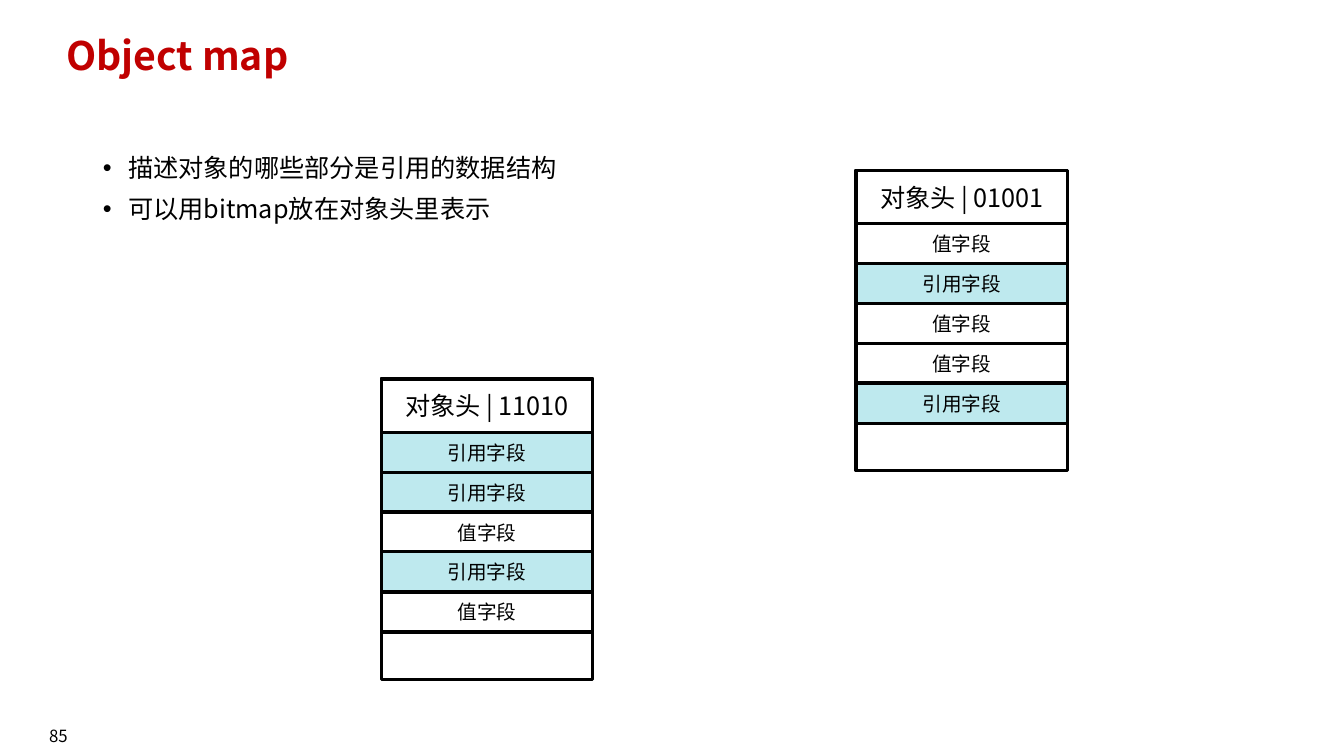
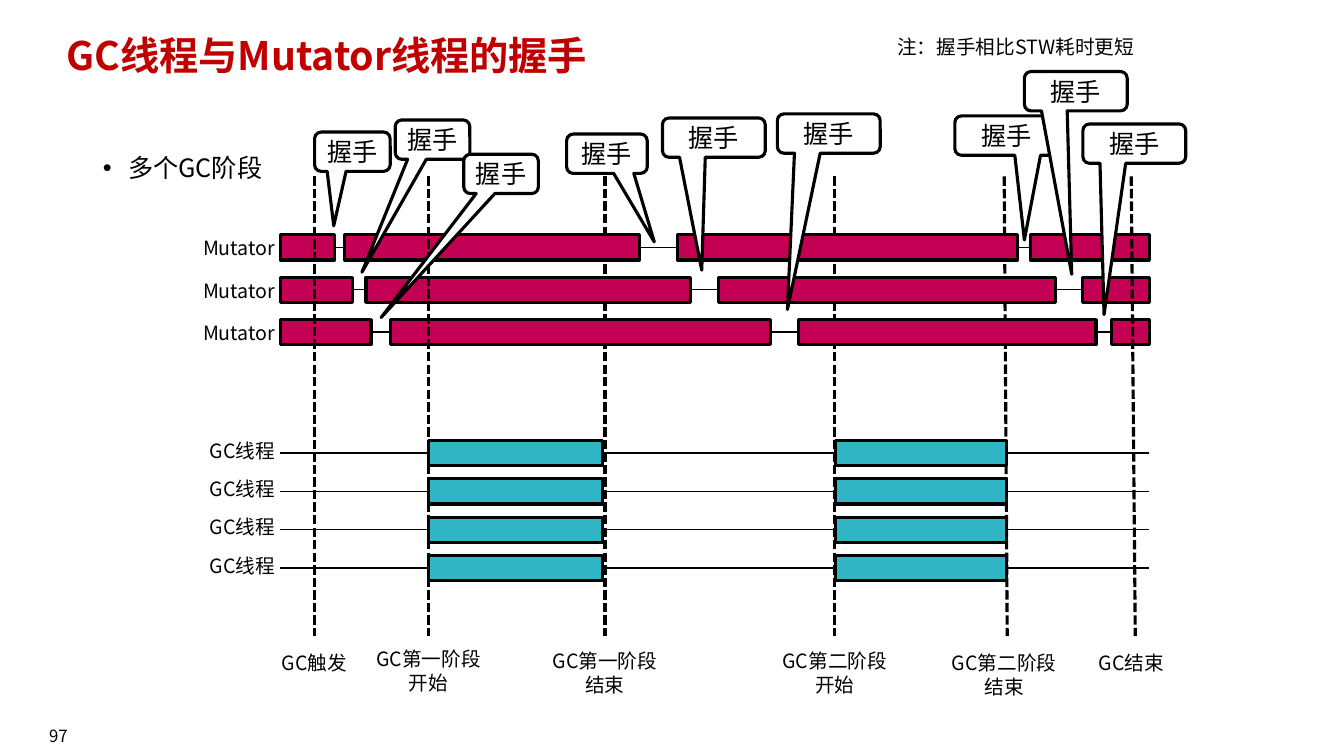
import pptx
import pptx.util
import pptx.dml.color
import pptx.enum.dml
import pptx.enum.shapes
import pptx.enum.text
import pptx.oxml
import pptx.oxml.ns
from dataclasses import dataclass
from lxml import etree

Inches, Pt = pptx.util.Inches, pptx.util.Pt
SHAPE = pptx.enum.shapes.MSO_SHAPE
ALIGN = pptx.enum.text.PP_ALIGN
ANCHOR = pptx.enum.text.MSO_ANCHOR
qn = pptx.oxml.ns.qn


@dataclass(frozen=True)
class Theme:
    face: str = "Noto Sans CJK SC"
    ink: str = "000000"
    red: str = "C00000"
    white: str = "FFFFFF"
    pale: str = "BEE9EE"
    teal: str = "30B5C5"
    pink: str = "C40054"
    head: int = 28
    body: int = 18
    small: int = 14
    foot: int = 12
    thick: float = 2.25
    thin: float = 1


T = Theme()
WIDE, HIGH = 13.33, 7.5

# Object map: left, top and the bitmap in the header
MAPS = [(8.49, 1.69, "01001"), (3.78, 3.76, "11010")]
FIELDS = {"0": ("值字段", None), "1": ("引用字段", T.pale)}
MAP_W, MAP_H, HEAD_H, ROW_H, ROW_GAP = 2.1, 2.98, 0.53, 0.4, 0.395

# Handshakes: bars of each thread as (left, right)
START, END, BAR_H = 2.78, 11.4, 0.25
MUTATORS = [
    [(START, 3.32), (3.42, 6.34), (6.72, 10.09), (10.22, END)],
    [(START, 3.5), (3.63, 6.85), (7.13, 10.47), (10.74, END)],
    [(START, 3.68), (3.87, 7.64), (7.92, 10.87), (11.02, END)],
]
COLLECTS = [[(4.25, 5.98), (8.29, 9.98)]] * 4
# name, bars, first top, pitch, colour, label shift
GROUPS = [
    ("Mutator", MUTATORS, 2.33, 0.42, T.pink, 0.01),
    ("GC线程", COLLECTS, 4.37, 0.38, T.teal, -0.02),
]
# x at top, x at bottom, label top, label lines, in front of the bars
PHASES = [
    (3.12, 3.12, 6.46, ["GC触发"], True),
    (4.25, 4.25, 6.42, ["GC第一阶段", "开始"], True),
    (6, 6, 6.44, ["GC第一阶段", "结束"], False),
    (8.28, 8.28, 6.44, ["GC第二阶段", "开始"], False),
    (9.96, 9.99, 6.46, ["GC第二阶段", "结束"], False),
    (11.22, 11.26, 6.46, ["GC结束"], True),
]
# left, top, width, tip x, tip y
SHAKES = [
    (3.12, 1.31, 0.75, 3.31, 2.24),
    (10.74, 1.23, 1.02, 10.95, 3.12),
    (5.62, 1.33, 0.8, 6.49, 2.4),
    (6.57, 1.17, 1.02, 6.96, 2.68),
    (7.71, 1.13, 1.02, 7.81, 3.07),
    (9.47, 1.15, 1.02, 10.16, 2.38),
    (10.16, 0.71, 1.02, 10.63, 2.72),
    (3.92, 1.19, 0.74, 3.59, 2.7),
    (4.6, 1.53, 0.74, 3.78, 3.15),
]
SHAKE_H = 0.39


def rgb(code):
    return pptx.dml.color.RGBColor.from_string(code)


def style(para, size, align=ALIGN.LEFT, color=T.ink, bold=False):
    para.alignment = align
    font = para.font
    font.name, font.size, font.bold = T.face, Pt(size), bold
    font.color.rgb = rgb(color)
    props = para._p.pPr.find(qn("a:defRPr"))
    etree.SubElement(props, qn("a:ea")).set("typeface", T.face)


def write(frame, lines, size, **look):
    frame.text = "\n".join(lines)
    for para in frame.paragraphs:
        style(para, size, **look)


def place(item, left, top, width, height):
    item.left, item.top = Inches(left), Inches(top)
    item.width, item.height = Inches(width), Inches(height)


def label(slide, box, lines, size=T.small, align=ALIGN.CENTER,
          anchor=ANCHOR.TOP, sides=(0, 0)):
    frame = slide.shapes.add_textbox(*map(Inches, box)).text_frame
    frame.word_wrap = True
    frame.vertical_anchor = anchor
    frame.margin_left, frame.margin_right = map(Inches, sides)
    frame.margin_top = frame.margin_bottom = 0
    write(frame, lines, size, align=align)


def block(slide, box, fill=None, text="", size=T.small, kind=SHAPE.RECTANGLE):
    item = slide.shapes.add_shape(kind, *map(Inches, box))
    item.shadow.inherit = False
    if fill:
        item.fill.solid()
        item.fill.fore_color.rgb = rgb(fill)
    else:
        item.fill.background()
    item.line.color.rgb = rgb(T.ink)
    item.line.width = Pt(T.thick)
    if text:
        item.text_frame.vertical_anchor = ANCHOR.MIDDLE
        write(item.text_frame, [text], size, align=ALIGN.CENTER)
    return item


def rule(slide, start, stop, width=T.thin, dash=False):
    line = slide.shapes.add_connector(
        pptx.enum.shapes.MSO_CONNECTOR.STRAIGHT, *map(Inches, start + stop))
    line.line.color.rgb = rgb(T.ink)
    line.line.width = Pt(width)
    if dash:
        line.line.dash_style = pptx.enum.dml.MSO_LINE.SQUARE_DOT
    etree.SubElement(line._element.spPr, qn("a:effectLst"))
    return line


def page(deck, number, title, points):
    """Add a slide with its title, bullet list and page number."""
    slide = deck.slides.add_slide(deck.slide_layouts[1])
    head, body = slide.placeholders
    place(head, 0.56, 0.31, 11.5, 0.65)
    place(body, 0.92, 1.49, 11.5, 4.76)
    for item in (head, body):
        item.text_frame.vertical_anchor = ANCHOR.TOP
        item.text_frame.auto_size = pptx.enum.text.MSO_AUTO_SIZE.NONE
    head.text_frame.text = title
    body.text_frame.text = "\n".join(points)
    for i, para in enumerate(body.text_frame.paragraphs):
        para.line_spacing = 0.9
        para.space_before = Pt(10 if i else 0)
        props = para._p.get_or_add_pPr()
        props.set("marL", str(Inches(0.25)))
        props.set("indent", str(-Inches(0.25)))
        etree.SubElement(props, qn("a:buFont")).set("typeface", "Arial")
        etree.SubElement(props, qn("a:buChar")).set("char", "•")
        style(para, T.body)
    para = head.text_frame.paragraphs[0]
    para.line_spacing = 0.9
    style(para, T.head, color=T.red, bold=True)
    label(slide, (0, 7.1, 1.16, 0.4), [str(number)], T.foot,
          anchor=ANCHOR.MIDDLE)
    return slide


def record(slide, left, top, bits):
    """Draw one object: header with bitmap, then a field for each bit."""
    block(slide, (left, top, MAP_W, MAP_H))
    block(slide, (left, top, MAP_W, HEAD_H), text=f"对象头 | {bits}", size=T.body)
    for i, bit in enumerate(bits):
        text, fill = FIELDS[bit]
        y = top + HEAD_H + i * ROW_GAP
        block(slide, (left, y, MAP_W, ROW_H), fill, text)


def thread(slide, name, spans, top, fill, shift):
    """Draw a labelled row of bars, joined by thin lines."""
    label(slide, (0.99, top + shift, 1.82, 0.24), [name], align=ALIGN.RIGHT,
          anchor=ANCHOR.MIDDLE, sides=(0.04, 0.08))
    mid = top + BAR_H / 2
    bars = [block(slide, (a, top, b - a, BAR_H), fill) for a, b in spans]
    for one, two, (_, a), (b, _) in zip(bars, bars[1:], spans, spans[1:]):
        line = rule(slide, (a, mid), (b, mid))
        line.begin_connect(one, 3)
        line.end_connect(two, 1)
    first, last = spans[0][0], spans[-1][1]
    if first > START:
        rule(slide, (START, mid), (first, mid)).end_connect(bars[0], 1)
    if last < END:
        rule(slide, (last, mid), (END, mid)).begin_connect(bars[-1], 3)


def phases(slide, front):
    for x, foot, top, lines, over in PHASES:
        if over == front:
            rule(slide, (x, 1.75), (foot, 6.31), T.thick, dash=True)
            label(slide, (x - 0.855, top, 1.71, 0.24 * len(lines)), lines)


def shake(slide, left, top, width, x, y):
    box = (left, top, width, SHAKE_H)
    item = block(slide, box, T.white, "握手", T.body,
                 SHAPE.ROUNDED_RECTANGULAR_CALLOUT)
    item.adjustments[0] = (x - left) / width - 0.5
    item.adjustments[1] = (y - top) / SHAKE_H - 0.5


def main():
    deck = pptx.Presentation()
    deck.slide_width, deck.slide_height = Inches(WIDE), Inches(HIGH)

    slide = page(deck, 85, "Object map", [
        "描述对象的哪些部分是引用的数据结构", "可以用bitmap放在对象头里表示"])
    for spot in MAPS:
        record(slide, *spot)

    slide = page(deck, 97, "GC线程与Mutator线程的握手", ["多个GC阶段"])
    phases(slide, front=False)
    for name, rows, top, pitch, fill, shift in GROUPS:
        for i, spans in enumerate(rows):
            thread(slide, name, spans, top + i * pitch, fill, shift)
    phases(slide, front=True)
    for spot in SHAKES:
        shake(slide, *spot)
    label(slide, (8.9, 0.35, 3.6, 0.24), ["注：握手相比STW耗时更短"],
          align=ALIGN.LEFT)
    deck.save("out.pptx")


if __name__ == "__main__":
    main()
